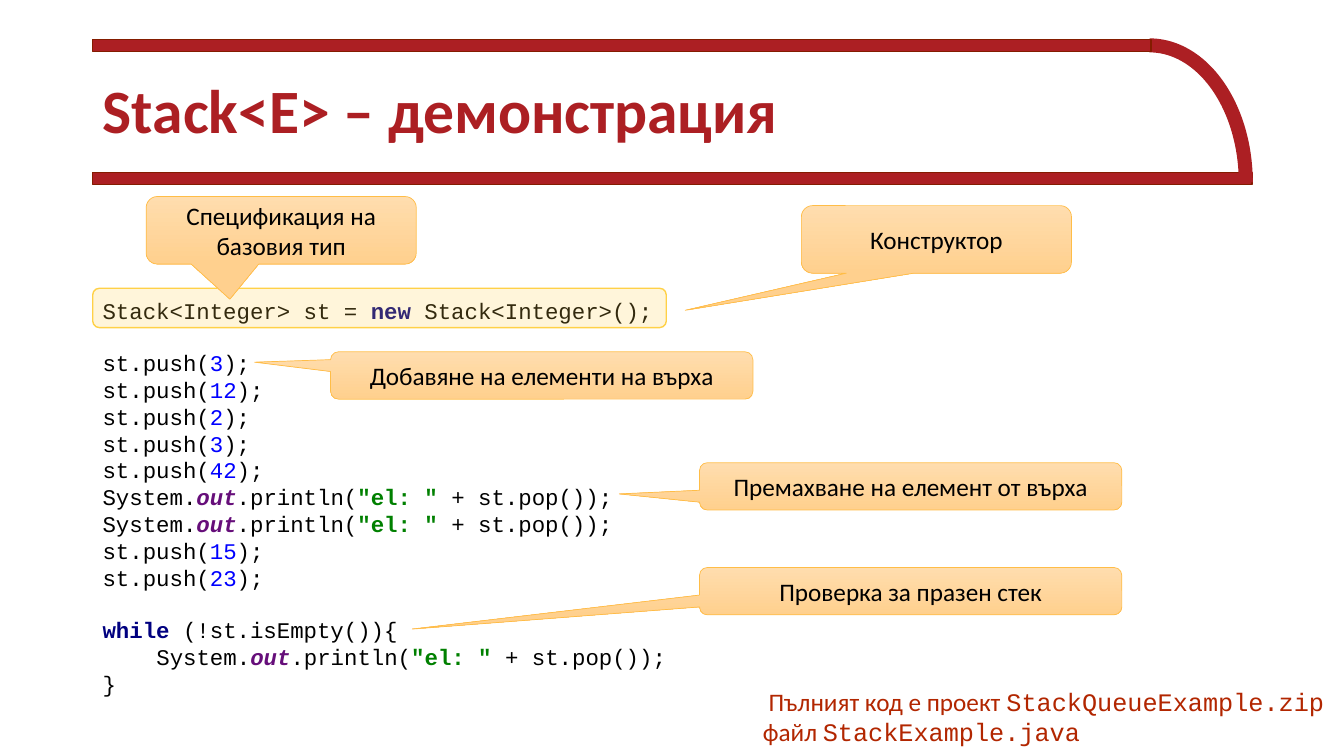
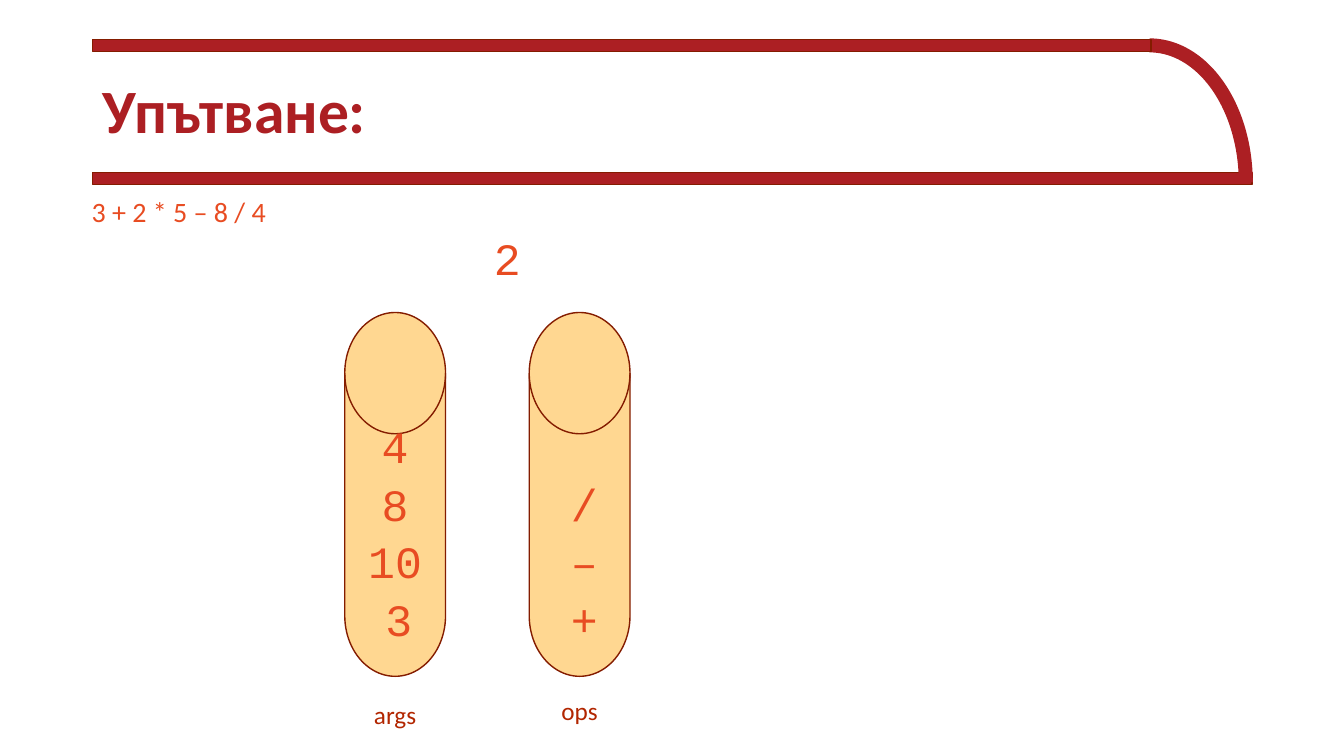
"""Build two lecture slides about the stack data structure."""
from collections import namedtuple

from lxml import etree
from pptx import Presentation
from pptx import util as u
from pptx.dml.color import RGBColor
from pptx.enum import shapes, text
from pptx.oxml import ns

RED = RGBColor(0xAC, 0x1F, 0x23)
DARK_RED = RGBColor(0x84, 0x1C, 0x00)
NOTE_RED = RGBColor(0xB2, 0x26, 0x00)
ORANGE = RGBColor(0xE8, 0x4C, 0x22)
SAND = RGBColor(0xFF, 0xD7, 0x91)
YELLOW = RGBColor(0xFF, 0xD1, 0x47)
CALLOUT_TOP = RGBColor(0xFF, 0xDD, 0xAE)
CALLOUT_BOTTOM = RGBColor(0xFF, 0xD0, 0x8E)
CALLOUT_LINE = RGBColor(0xFF, 0xBD, 0x47)
WHITE = RGBColor(0xFF, 0xFF, 0xFF)
BLACK = RGBColor(0x00, 0x00, 0x00)
KEYWORD = RGBColor(0x00, 0x00, 0x80)
NUMBER = RGBColor(0x00, 0x00, 0xFF)
FIELD = RGBColor(0x66, 0x0E, 0x7A)
STRING = RGBColor(0x00, 0x80, 0x00)

BODY_FONT = "Calibri"
CODE_FONT = "Courier New"
CODE_SIZE = 16
CODE_LINE = u.Pt(18.1)
CODE_INDENT = u.Pt(38.4)

WIDTH, HEIGHT = u.Inches(13.33), u.Inches(7.5)
COLUMN, ROW = WIDTH / 40, HEIGHT / 30

Box = namedtuple("Box", "left top width height")
HEADER = Box(2.76, 1.56, 34.5, 5.76)
CODE = Box(2.76, 11.44, 17.61, 16.56)
BAND = 0.48


def place(box):
    """Turn a box in columns and rows into slide lengths."""
    return (round(box.left * COLUMN), round(box.top * ROW),
            round(box.width * COLUMN), round(box.height * ROW))


def add_run(paragraph, words, size, color, font=BODY_FONT, bold=False, italic=False):
    """Add one formatted run."""
    run = paragraph.add_run()
    run.text = words
    run.font.size = u.Pt(size)
    run.font.name = font
    run.font.color.rgb = color
    run.font.bold = bold
    run.font.italic = italic


def add_shape(slide, kind, box, fill=None, line=None, line_width=1):
    """Add a flat preset shape."""
    shape = slide.shapes.add_shape(kind, *place(box))
    shape.shadow.inherit = False
    if fill is None:
        shape.fill.background()
    else:
        shape.fill.solid()
        shape.fill.fore_color.rgb = fill
    shape.line.color.rgb = line
    shape.line.width = u.Pt(line_width)
    return shape


def add_text_box(slide, box):
    """Add an unwrapped text box that fits its text."""
    shape = slide.shapes.add_textbox(*place(box))
    shape.text_frame.word_wrap = False
    shape.text_frame.auto_size = text.MSO_AUTO_SIZE.SHAPE_TO_FIT_TEXT
    return shape


def add_label(slide, box, words, size, color, font=BODY_FONT):
    """Add a centred single-line label."""
    paragraph = add_text_box(slide, box).text_frame.paragraphs[0]
    paragraph.alignment = text.PP_ALIGN.CENTER
    add_run(paragraph, words, size, color, font)


def build_header(layout, slide, box):
    """Draw the title frame and move it to the layout the slides share."""
    kinds = shapes.MSO_SHAPE
    bottom = box._replace(top=box.top + box.height - BAND, height=BAND)
    top = box._replace(width=box.width - 3, height=BAND)
    curve = Box(box.left + box.width - 5.91, box.top + BAND / 2, 5.73, 10.88)
    parts = [add_shape(slide, kinds.RECTANGLE, bottom, RED, DARK_RED),
             add_shape(slide, kinds.ARC, curve, None, RED, 10),
             add_shape(slide, kinds.RECTANGLE, top, RED, DARK_RED)]
    for shape in parts:
        layout.shapes.element.append(shape.element)
    title = layout.placeholders[0]
    title.left, title.top, title.width, title.height = place(
        box._replace(top=1.6, width=28.62, height=5.8))


def set_title(slide, words):
    """Fill and format the title placeholder."""
    frame = slide.shapes.title.text_frame
    frame.vertical_anchor = text.MSO_ANCHOR.MIDDLE
    frame.auto_size = text.MSO_AUTO_SIZE.NONE
    paragraph = frame.paragraphs[0]
    paragraph.alignment = text.PP_ALIGN.LEFT
    paragraph.line_spacing = 0.9
    add_run(paragraph, words, 44, RED, bold=True)


def push(number):
    """Return the tokens of a push call."""
    return [("st.push(", BLACK), (number, NUMBER), (");", BLACK)]


def code_blocks():
    """Return the listing as blocks of lines of coloured tokens."""
    pop = [("System.", BLACK), ("out", FIELD), (".println(", BLACK),
           ('"el: " ', STRING), ("+ st.pop());", BLACK)]
    create = [("Stack<Integer> st = ", BLACK), ("new ", KEYWORD),
              ("Stack<Integer>();", BLACK)]
    loop = [("while ", KEYWORD), ("(!st.isEmpty()){", BLACK)]
    fill = [push(number) for number in ("3", "12", "2", "3", "42")]
    refill = [push(number) for number in ("15", "23")]
    return [[create], [*fill, pop, pop, *refill], [loop, pop, [("}", BLACK)]]]


def add_code(slide, box):
    """Write the code listing and mark its first line."""
    shape = add_text_box(slide, box)
    shape.fill.solid()
    shape.fill.fore_color.rgb = WHITE
    frame = shape.text_frame
    frame.vertical_anchor = text.MSO_ANCHOR.MIDDLE
    paragraph = None
    for block in code_blocks():
        in_loop = block[0][0][0] == "while "
        for index, line in enumerate(block):
            first = paragraph is None
            paragraph = frame.paragraphs[0] if first else frame.add_paragraph()
            if index == 0 and not first:
                paragraph.space_before = CODE_LINE
            if in_loop and index == 1:
                paragraph._p.get_or_add_pPr().set("marL", str(CODE_INDENT))
            for words, color in line:
                add_run(paragraph, words, CODE_SIZE, color, CODE_FONT,
                        bold=color in (KEYWORD, FIELD, STRING), italic=color == FIELD)
    mark = add_shape(slide, shapes.MSO_SHAPE.ROUNDED_RECTANGLE,
                     box._replace(width=17.07, height=1.56), YELLOW, YELLOW)
    color = mark.element.spPr.find(f"{ns.qn('a:solidFill')}/{ns.qn('a:srgbClr')}")
    etree.SubElement(color, ns.qn("a:alpha")).set("val", "20000")


def add_callout(slide, box, tip, words):
    """Add a callout whose tip is given in shares of its box."""
    shape = add_shape(slide, shapes.MSO_SHAPE.ROUNDED_RECTANGULAR_CALLOUT, box,
                      SAND, CALLOUT_LINE, 0.5)
    shape.adjustments[0], shape.adjustments[1] = tip
    shape.fill.gradient()
    shape.fill.gradient_angle = 270
    for stop, color in zip(shape.fill.gradient_stops, (CALLOUT_TOP, CALLOUT_BOTTOM)):
        stop.color.rgb = color
    frame = shape.text_frame
    frame.word_wrap = True
    frame.vertical_anchor = text.MSO_ANCHOR.MIDDLE
    frame.paragraphs[0].alignment = text.PP_ALIGN.CENTER
    add_run(frame.paragraphs[0], words, 18, BLACK)


def add_source_note(slide, box):
    """Name the project and the file with the whole code."""
    frame = add_text_box(slide, box).text_frame
    lines = [(" Пълният код е проект ", "StackQueueExample.zip"),
             ("файл ", "StackExample.java")]
    for index, (words, file_name) in enumerate(lines):
        paragraph = frame.add_paragraph() if index else frame.paragraphs[0]
        add_run(paragraph, words, 18, NOTE_RED)
        add_run(paragraph, file_name, 18, NOTE_RED, CODE_FONT)


def add_value(slide, center, top, words):
    """Write one stack value centred on a column."""
    width = 1.41 + 0.81 * (len(words) - 1)
    add_label(slide, Box(center - width / 2, top, width, 2.56), words, 32, ORANGE,
              CODE_FONT)


def add_stack(slide, box, name, name_gap, values):
    """Draw a stack with its name below and its values from the bottom up."""
    add_shape(slide, shapes.MSO_SHAPE.FLOWCHART_MAGNETIC_DISK, box, SAND, DARK_RED)
    center, bottom = box.left + box.width / 2, box.top + box.height
    for index, (words, shift) in enumerate(values):
        add_value(slide, center + shift, bottom - 3.56 - 2.28 * index, words)
    add_label(slide, Box(center - 0.93, bottom + name_gap, 1.86, 1.6), name, 18,
              NOTE_RED)


def build_demo(slide):
    """Build the slide with the annotated listing."""
    set_title(slide, "Stack<E> – демонстрация")
    add_code(slide, CODE)
    large, small = (8.04, 2.68), (12.57, 1.88)
    callouts = [
        (4.35, 7.8, large, (-0.19, 1.02), "Спецификация на базовия тип"),
        (23.85, 8.16, large, (-0.93, 1.05), "Конструктор"),
        (9.84, 13.96, small, (-0.68, -0.28), "Добавяне на елементи на върха"),
        (20.82, 18.36, small, (-0.69, 0.16), "Премахване на елемент от върха"),
        (20.82, 22.52, small, (-1.18, 0.8), "Проверка за празен стек"),
    ]
    for left, top, size, tip, words in callouts:
        add_callout(slide, Box(left, top, *size), tip, words)
    add_source_note(slide, Box(22.41, 27.04, 17.43, 2.84))


def build_hint(slide):
    """Build the slide with the two stacks of an expression."""
    set_title(slide, "Упътване:")
    add_label(slide, Box(2.4, 7.52, 5.85, 1.76), "3 + 2 * 5 – 8 / 4", 20, ORANGE)
    add_value(slide, 15.1, 8.96, "2")
    arguments = Box(10.26, 12.4, 3, 14.44)
    add_stack(slide, arguments, "args", 0.72,
              [("3", 0.11), ("10", 0), ("8", 0), ("4", 0)])
    add_stack(slide, arguments._replace(left=15.75), "ops", 0.56,
              [(sign, 0.14) for sign in "+–/"])


def main():
    """Build and save the presentation."""
    presentation = Presentation()
    presentation.slide_width, presentation.slide_height = WIDTH, HEIGHT
    layout = presentation.slide_layouts[5]
    demo, hint = [presentation.slides.add_slide(layout) for _ in range(2)]
    build_header(layout, demo, HEADER)
    build_demo(demo)
    build_hint(hint)
    presentation.save("out.pptx")


main()
